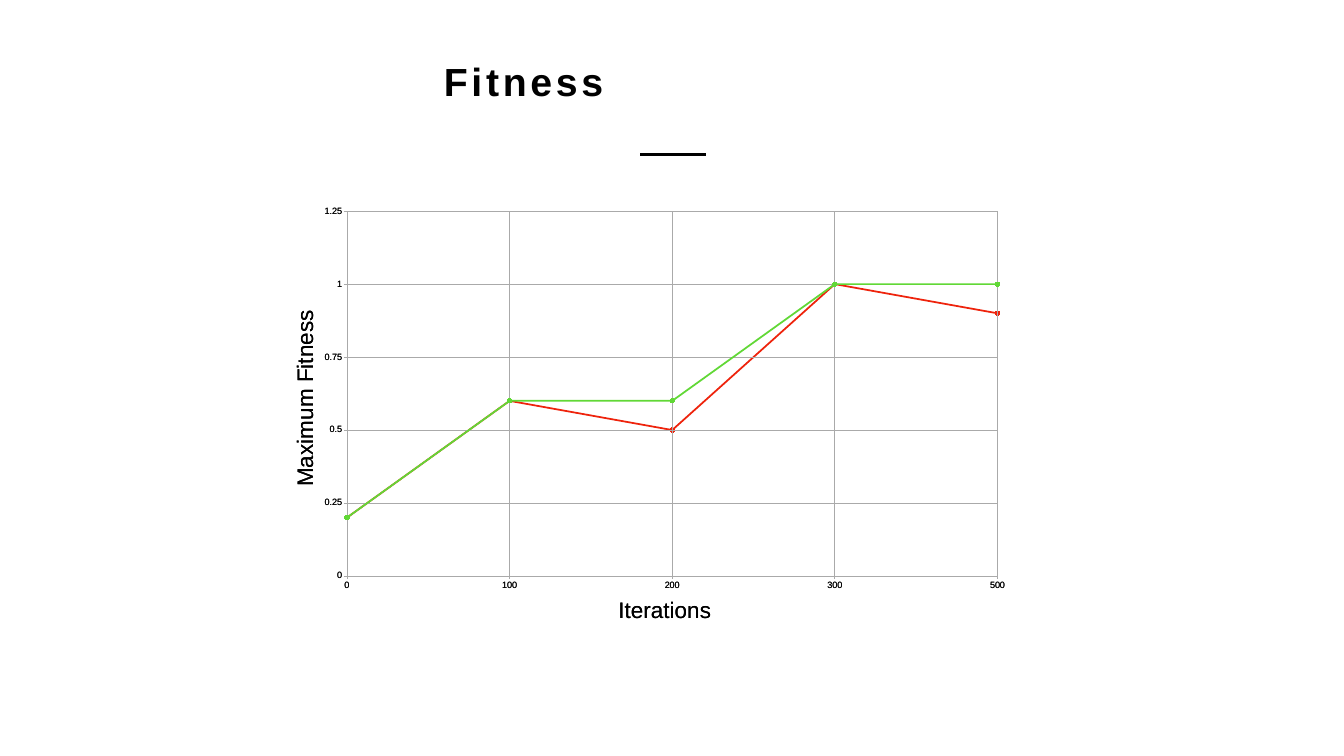
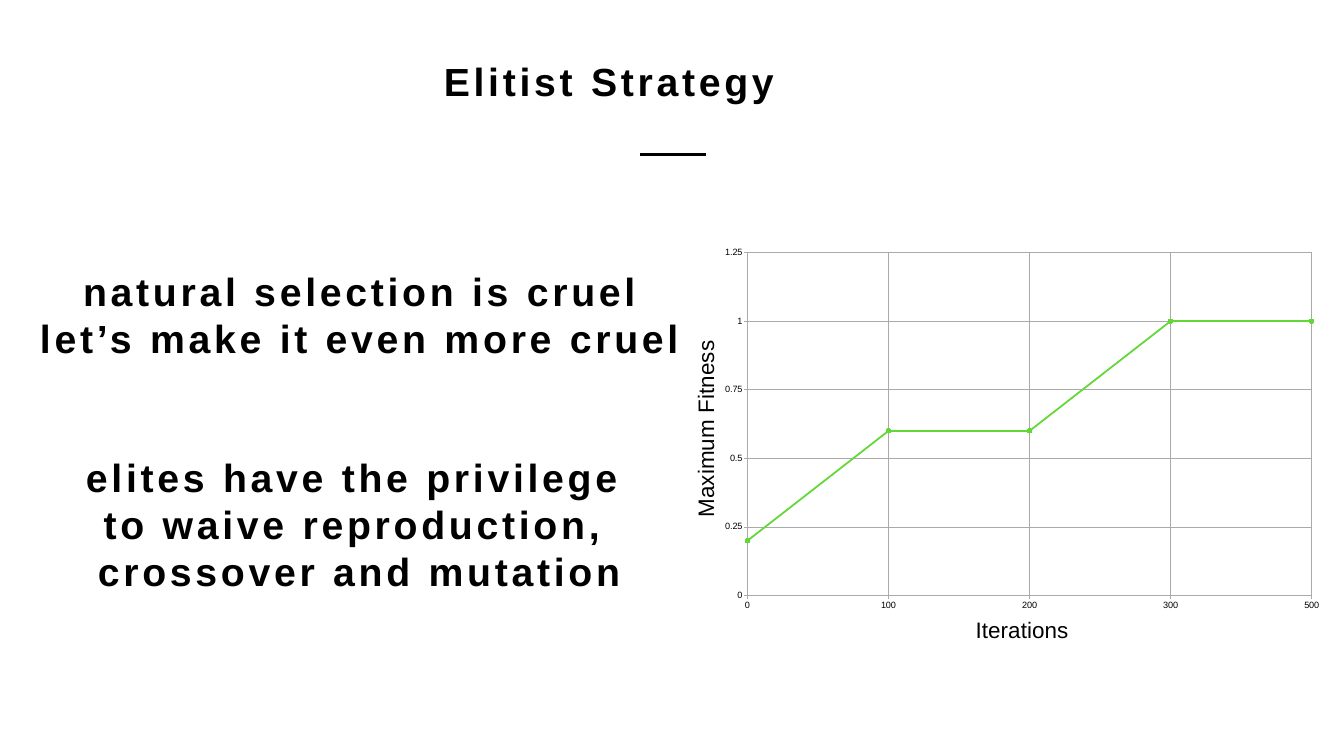
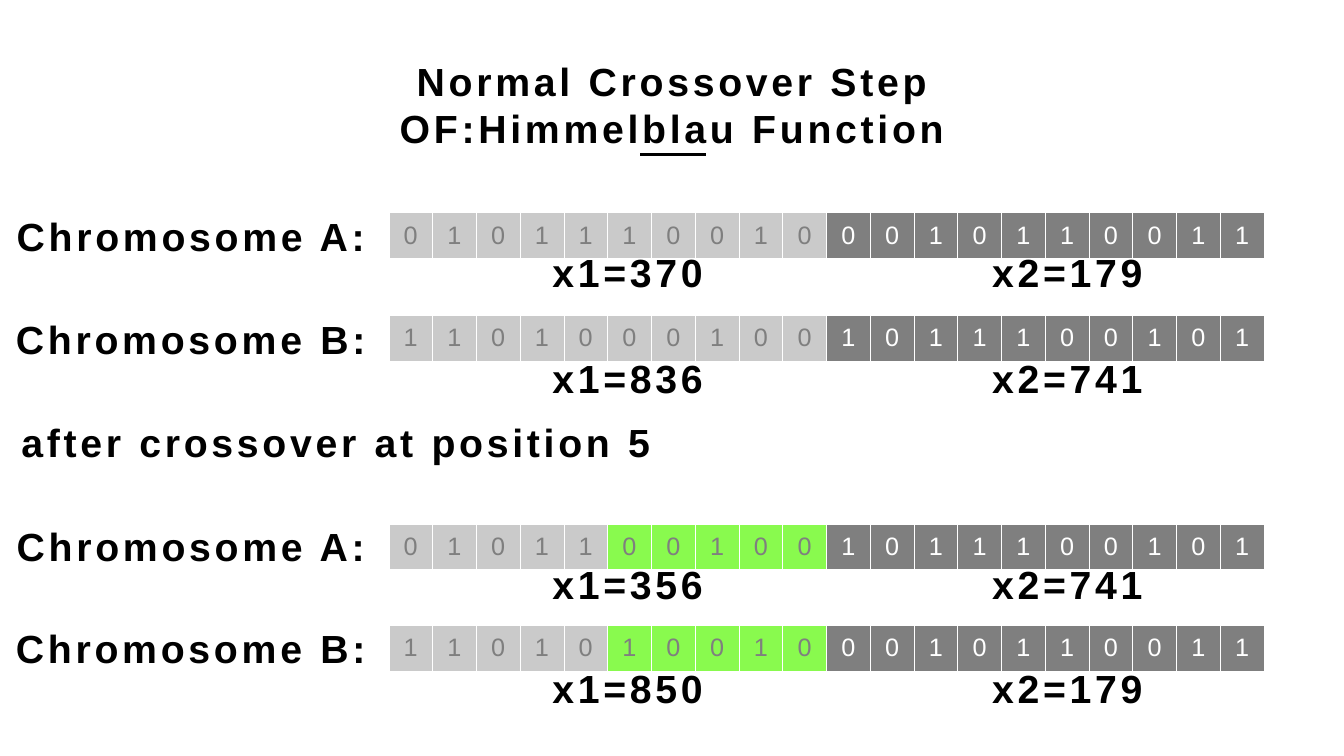
from dataclasses import dataclass

from lxml.etree import SubElement
from pptx import Presentation
from pptx.chart.data import CategoryChartData
from pptx.dml.color import RGBColor
from pptx.enum.chart import XL_CHART_TYPE, XL_MARKER_STYLE, XL_TICK_LABEL_POSITION, XL_TICK_MARK
from pptx.enum.shapes import MSO_CONNECTOR
from pptx.enum.text import MSO_ANCHOR, MSO_AUTO_SIZE, PP_ALIGN
from pptx.oxml import parse_xml
from pptx.oxml.ns import nsdecls, qn
from pptx.util import Inches, Pt

# Shared style
FONT = "Arial"
BLACK, WHITE, GRID = "000000", "FFFFFF", "AAAAAA"
RED, GREEN = "EE230C", "61D836"
LIGHT, DARK, SWAPPED = "CACACA", "7F7F7F", "89FA4E"

# Chromosome layout
GENES, GENES_PER_VARIABLE, CROSSOVER_POSITION = 20, 10, 5
STRIP_LEFT, STRIP_WIDTH, STRIP_HEIGHT = 7.71, 17.36, 0.9

ITERATIONS = ["0", "100", "200", "300", "500"]
NORMAL_FITNESS = (0.2, 0.6, 0.5, 1, 0.9)
ELITIST_FITNESS = (0.2, 0.6, 0.6, 1, 1)


@dataclass
class Box:
    left: float
    top: float
    width: float
    height: float

    def lengths(self):
        return [Inches(v) for v in (self.left, self.top, self.width, self.height)]


@dataclass
class Chromosome:
    name: str
    bits: str
    label_top: float
    strip_top: float
    value_top: float
    crossed: bool = False

    def variables(self) -> list[str]:
        halves = self.bits[:GENES_PER_VARIABLE], self.bits[GENES_PER_VARIABLE:]
        return [f"x{i}={int(half, 2)}" for i, half in enumerate(halves, 1)]


CHROMOSOMES = [
    Chromosome("A", "01011100100010110011", 4.16, 4.22, 4.87),
    Chromosome("B", "11010001001011100101", 6.2, 6.26, 6.98),
    Chromosome("A", "01011001001011100101", 10.3, 10.4, 11.06, True),
    Chromosome("B", "11010100100010110011", 12.34, 12.41, 13.13, True),
]


def rgb(value: str) -> RGBColor:
    return RGBColor.from_string(value)


def style_font(font, size: float, color: str = BLACK, bold: bool = False) -> None:
    font.name, font.size, font.bold = FONT, Pt(size), bold
    font.color.rgb = rgb(color)


def style_line(line, color: str, width: float) -> None:
    line.color.rgb = rgb(color)
    line.width = Pt(width)


def add_text(slide, box: Box, lines: list[str], anchor=MSO_ANCHOR.MIDDLE,
             align=PP_ALIGN.CENTER, inset: float = 0.06, wrap: bool = False) -> None:
    tf = slide.shapes.add_textbox(*box.lengths()).text_frame
    tf.word_wrap = wrap
    tf.auto_size = MSO_AUTO_SIZE.SHAPE_TO_FIT_TEXT
    tf.vertical_anchor = anchor
    tf.margin_left = tf.margin_right = tf.margin_top = tf.margin_bottom = Inches(inset)
    tf.text = "\n".join(lines)
    for p in tf.paragraphs:
        p.alignment = align
        for r in p.runs:
            style_font(r.font, 56, bold=True)
            r.font._element.set("spc", "530")


def add_titled_slide(prs, box: Box, lines: list[str], align=PP_ALIGN.LEFT):
    slide = prs.slides.add_slide(prs.slide_layouts[6])
    add_text(slide, box, lines, MSO_ANCHOR.TOP, align, 0.05, wrap=align == PP_ALIGN.LEFT)
    rule = slide.shapes.add_connector(
        MSO_CONNECTOR.STRAIGHT, Inches(12.7), Inches(3.06), Inches(14), Inches(3.06))
    style_line(rule.line, BLACK, 4.5)
    SubElement(rule._element.spPr, qn("a:effectLst"))
    return slide


# Charts
def style_axis(axis, title: str) -> None:
    axis.has_title = True
    axis.axis_title.text_frame.text = title
    style_font(axis.axis_title.text_frame.paragraphs[0].runs[0].font, 32)
    style_font(axis.tick_labels.font, 13)
    axis.major_tick_mark = XL_TICK_MARK.OUTSIDE
    axis.minor_tick_mark = XL_TICK_MARK.NONE
    axis.has_major_gridlines = True
    for line in (axis.format.line, axis.major_gridlines.format.line):
        style_line(line, GRID, 1)


def clear_background(chart) -> None:
    no_fill = (f'<c:spPr {nsdecls("c", "a")}><a:noFill/>'
               '<a:ln><a:noFill/></a:ln></c:spPr>')
    space = chart._chartSpace
    space.chart.addnext(parse_xml(no_fill))
    space.chart.plotArea.append(parse_xml(no_fill))


def place_plot(chart, box: Box, plot: Box) -> None:
    """Place the plot, given in inches from the corner of the chart."""
    area = chart._chartSpace.chart.plotArea
    for old in area.findall(qn("c:layout")):
        area.remove(old)
    layout = parse_xml(f'<c:layout {nsdecls("c")}><c:manualLayout/></c:layout>')
    values = {"layoutTarget": "inner", "xMode": "edge", "yMode": "edge",
              "x": plot.left / box.width, "y": plot.top / box.height,
              "w": plot.width / box.width, "h": plot.height / box.height}
    for tag, value in values.items():
        SubElement(layout[0], qn(f"c:{tag}")).set("val", str(value))
    area.insert(0, layout)


def add_fitness_chart(slide, box: Box, plot: Box, fitness: tuple, color: str) -> None:
    data = CategoryChartData()
    data.categories = ITERATIONS
    data.add_series("Series 1", fitness)
    chart = slide.shapes.add_chart(
        XL_CHART_TYPE.LINE_MARKERS, *box.lengths(), data).chart
    chart.has_legend = chart.has_title = False
    style_font(chart.font, 10)

    style_axis(chart.category_axis, "Iterations")
    chart.category_axis.tick_label_position = XL_TICK_LABEL_POSITION.LOW
    axis = chart.value_axis
    style_axis(axis, "Maximum Fitness")
    axis.minimum_scale, axis.maximum_scale, axis.major_unit = 0, 1.25, 0.25
    axis.tick_labels.number_format = "General"
    axis.tick_labels.number_format_is_linked = False
    # Points sit on the vertical gridlines
    axis._element.find(qn("c:majorUnit")).addprevious(
        parse_xml(f'<c:crossBetween {nsdecls("c")} val="midCat"/>'))

    chart.plots[0].vary_by_categories = False
    series = chart.plots[0].series[0]
    series.smooth = False
    style_line(series.format.line, color, 2.5)
    series.marker.style, series.marker.size = XL_MARKER_STYLE.CIRCLE, 6
    series.marker.format.fill.solid()
    series.marker.format.fill.fore_color.rgb = rgb(color)
    series.marker.format.line.fill.background()
    place_plot(chart, box, plot)
    clear_background(chart)


# Chromosome strips
def style_gene(cell, bit: str, fill: str, color: str) -> None:
    cell.text = bit
    cell.vertical_anchor = MSO_ANCHOR.MIDDLE
    cell.margin_left = cell.margin_right = cell.margin_top = cell.margin_bottom = 0
    p = cell.text_frame.paragraphs[0]
    p.alignment = PP_ALIGN.CENTER
    style_font(p.runs[0].font, 36, color)
    cell.fill.solid()
    cell.fill.fore_color.rgb = rgb(fill)
    for i, side in enumerate("LRTB"):
        cell._tc.tcPr.insert(i, parse_xml(
            f'<a:ln{side} {nsdecls("a")} w="{Pt(1)}"><a:solidFill>'
            f'<a:srgbClr val="{WHITE}"/></a:solidFill></a:ln{side}>'))


def add_chromosome(slide, item: Chromosome) -> None:
    add_text(slide, Box(0.23, item.label_top, 7.11, 1.04), [f"Chromosome {item.name}:"])
    strip = Box(STRIP_LEFT, item.strip_top, STRIP_WIDTH, STRIP_HEIGHT)
    table = slide.shapes.add_table(1, GENES, *strip.lengths()).table
    table.first_row = table.horz_banding = False
    for i, bit in enumerate(item.bits):
        if i >= GENES_PER_VARIABLE:
            fill, color = DARK, WHITE
        elif item.crossed and i >= CROSSOVER_POSITION:
            fill, color = SWAPPED, DARK
        else:
            fill, color = LIGHT, DARK
        style_gene(table.cell(0, i), bit, fill, color)
    for left, text in zip((10.85, 19.57), item.variables()):
        add_text(slide, Box(left, item.value_top, 3.19, 1.04), [text])


def main() -> None:
    prs = Presentation()
    prs.slide_width, prs.slide_height = Inches(26.65), Inches(15)
    title_box = Box(8.75, 1.08, 9.17, 1.5)

    # Fitness of both strategies, overlaid
    slide = add_titled_slide(prs, title_box, ["Fitness"])
    for fitness, color in ((NORMAL_FITNESS, RED), (ELITIST_FITNESS, GREEN)):
        add_fitness_chart(slide, Box(5.67, 3.94, 14.35, 8.56),
                          Box(1.21, 0.25, 12.9, 7.24), fitness, color)

    # Elitist strategy
    slide = add_titled_slide(prs, title_box, ["Elitist Strategy"])
    add_text(slide, Box(0.69, 5.25, 12.88, 1.97),
             ["natural selection is cruel", "let’s make it even more cruel"])
    add_text(slide, Box(1.46, 8.48, 11.33, 3.83),
             ["elites have the privilege ", "to waive reproduction, ",
              "crossover and mutation"])
    add_fitness_chart(slide, Box(13.62, 4.76, 12.64, 8.13),
                      Box(1.2, 0.25, 11.19, 6.81), ELITIST_FITNESS, GREEN)

    # Crossover step
    slide = add_titled_slide(prs, Box(7.83, 1.08, 10.99, 1.96),
                             ["Normal Crossover Step", "OF:Himmelblau Function"],
                             PP_ALIGN.CENTER)
    add_text(slide, Box(0.32, 8.25, 12.69, 1.04), ["after crossover at position 5"])
    for item in CHROMOSOMES:
        add_chromosome(slide, item)

    prs.save("out.pptx")


if __name__ == "__main__":
    main()
